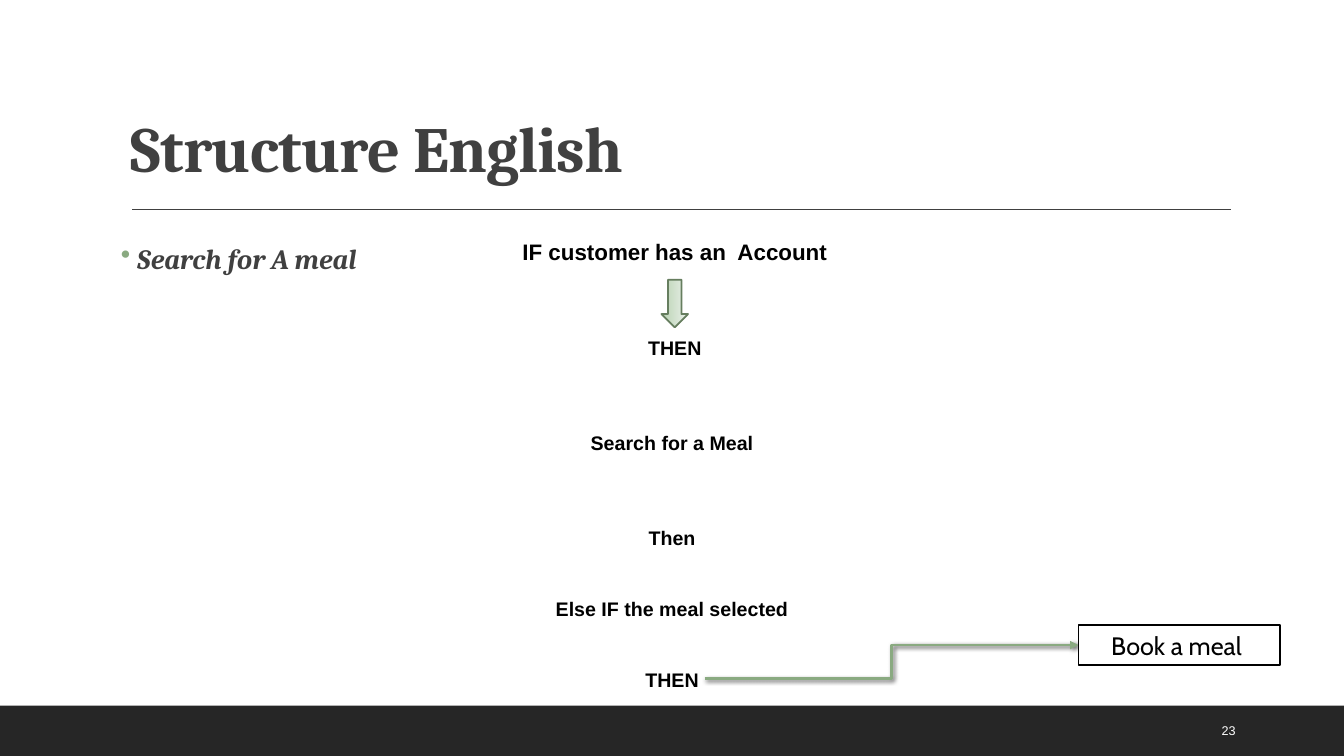
from lxml import etree
from pptx import Presentation
from pptx.dml.color import RGBColor
from pptx.enum.shapes import MSO_CONNECTOR, MSO_SHAPE
from pptx.enum.text import MSO_ANCHOR, PP_ALIGN
from pptx.oxml.ns import qn
from pptx.util import Pt

RECTANGLE, DOWN_ARROW = MSO_SHAPE.RECTANGLE, MSO_SHAPE.DOWN_ARROW
STRAIGHT, ELBOW = MSO_CONNECTOR.STRAIGHT, MSO_CONNECTOR.ELBOW
TOP, MIDDLE, BOTTOM = MSO_ANCHOR.TOP, MSO_ANCHOR.MIDDLE, MSO_ANCHOR.BOTTOM
LEFT, CENTER = PP_ALIGN.LEFT, PP_ALIGN.CENTER

WHITE = RGBColor(0xFF, 0xFF, 0xFF)
BLACK = RGBColor(0x00, 0x00, 0x00)
CHARCOAL = RGBColor(0x26, 0x26, 0x26)
GRAY = RGBColor(0x40, 0x40, 0x40)
GREEN = RGBColor(0x8A, 0xAA, 0x81)
DARK_GREEN = RGBColor(0x66, 0x7E, 0x5F)
MID_GREEN = RGBColor(0xB9, 0xD2, 0xB3)
PALE_GREEN = RGBColor(0xE9, 0xF0, 0xE8)

SLIDE_WIDTH, SLIDE_HEIGHT = 960, 540
BLANK_LAYOUT = 6
ROW_GAP = 17
# Each step with the number of rows left free above it
STEPS = [
    ("IF customer has an  Account", 16, 0),
    ("THEN", 14, 3),
    ("Search for a Meal ", 14, 3),
    ("Then ", 14, 3),
    ("Else IF the meal selected ", 14, 2),
    ("THEN ", 14, 2),
]


def add_child(parent, tag, **attributes):
    return etree.SubElement(parent, qn(tag), attributes)


def set_format(target, values):
    for name, value in values.items():
        setattr(target, name, value)


def write(paragraph, text, size, font, color, align=LEFT, **style):
    paragraph.text = text
    paragraph.alignment = align
    paragraph.font.color.rgb = color
    set_format(paragraph.font, {"size": Pt(size), "name": font, **style})


def add_text_frame(slide, box, anchor=TOP):
    frame = slide.shapes.add_textbox(*map(Pt, box)).text_frame
    set_format(frame, {"word_wrap": True, "vertical_anchor": anchor})
    return frame


def add_preset(slide, preset, box):
    shape = slide.shapes.add_shape(preset, *map(Pt, box))
    shape.shadow.inherit = False
    return shape


def add_line(slide, kind, ends, color, width):
    """Draw a connector and return it with its empty effect list."""
    line = slide.shapes.add_connector(kind, *map(Pt, ends))
    line.line.color.rgb = color
    line.line.width = Pt(width)
    effects = add_child(line._element.spPr, "a:effectLst")
    return line, effects


def add_title(slide, box):
    left, top, width, height = box
    title = add_text_frame(slide, box, BOTTOM).paragraphs[0]
    write(title, "Structure English", 46, "Cambria", GRAY, bold=True)
    title.line_spacing = 0.9
    title.runs[0].font._element.set("spc", "-50")
    rule_y = top + height + 13
    add_line(slide, STRAIGHT, (left + 8, rule_y, left + width + 1, rule_y), GRAY, 1)


def add_topic(slide, box):
    frame = add_text_frame(slide, box)
    set_format(frame, {"margin_left": 0, "margin_right": 0})
    topic = frame.paragraphs[0]
    properties = topic._p.get_or_add_pPr()
    properties.set("marL", str(Pt(11.5)))
    properties.set("indent", str(Pt(-11.5)))
    bullet_color = add_child(properties, "a:buClr")
    add_child(bullet_color, "a:srgbClr", val=str(GREEN))
    add_child(properties, "a:buChar", char="•")
    write(topic, "Search for A meal", 20, "Cambria", GRAY, bold=True, italic=True)
    set_format(topic, {"line_spacing": 1.1, "space_after": Pt(2)})


def add_steps(slide, box):
    left, top, width, _ = box
    frame = add_text_frame(slide, box)
    for index, (step, size, free_rows) in enumerate(STEPS):
        paragraph = frame.add_paragraph() if index else frame.paragraphs[0]
        write(paragraph, step, size, "Arial", BLACK, CENTER, bold=True)
        if free_rows:
            paragraph.space_before = Pt(free_rows * ROW_GAP)

    arrow_width = 19
    arrow_left = left + (width - arrow_width) / 2
    arrow = add_preset(slide, DOWN_ARROW, (arrow_left, top + 33.5, arrow_width, 34))
    arrow.fill.gradient()
    arrow.fill.gradient_angle = 0
    for stop, color in zip(arrow.fill.gradient_stops, (MID_GREEN, PALE_GREEN)):
        stop.color.rgb = color
    arrow.line.color.rgb = DARK_GREEN
    arrow.line.width = Pt(1.25)


def add_booking(slide, box, start):
    """Place the booking box and the bent arrow that leads to it."""
    left, top, _, height = box
    ends = (*start, left, top + height / 2)
    link, effects = add_line(slide, ELBOW, ends, GREEN, 2)
    add_child(link.line._get_or_add_ln(), "a:tailEnd", type="triangle")
    shadow = add_child(effects, "a:outerShdw", blurRad=str(Pt(3)),
                       dist=str(Pt(2)), dir="2700000", rotWithShape="0")
    shadow_color = add_child(shadow, "a:srgbClr", val=str(BLACK))
    add_child(shadow_color, "a:alpha", val="60000")

    booking = add_preset(slide, RECTANGLE, box)
    booking.fill.solid()
    booking.fill.fore_color.rgb = WHITE
    booking.line.color.rgb = BLACK
    booking.line.width = Pt(1.25)
    booking.text_frame.vertical_anchor = TOP
    write(booking.text_frame.paragraphs[0], "Book a meal ", 18, "Cabin", BLACK, CENTER)


def add_footer(slide, box):
    left, top, width, height = box
    band = add_preset(slide, RECTANGLE, box)
    band.fill.solid()
    band.fill.fore_color.rgb = CHARCOAL
    band.line.fill.background()
    number_box = (left + width - 94.5, top + 3.5, 61, height - 7)
    number = add_text_frame(slide, number_box, MIDDLE).paragraphs[0]
    write(number, "23", 9, "Arial", WHITE)


def main():
    deck = Presentation()
    deck.slide_width, deck.slide_height = Pt(SLIDE_WIDTH), Pt(SLIDE_HEIGHT)
    slide = deck.slides.add_slide(deck.slide_layouts[BLANK_LAYOUT])
    add_footer(slide, (0, 504, SLIDE_WIDTH, 36))
    add_title(slide, (86.4, 22.3, 792, 114.5))
    add_topic(slide, (86.4, 166.3, 792, 296))
    add_steps(slide, (348.5, 166.3, 267, 353.5))
    add_booking(slide, (770.4, 446.4, 144, 28.8), start=(503.3, 484.6))
    deck.save("out.pptx")


if __name__ == "__main__":
    main()
